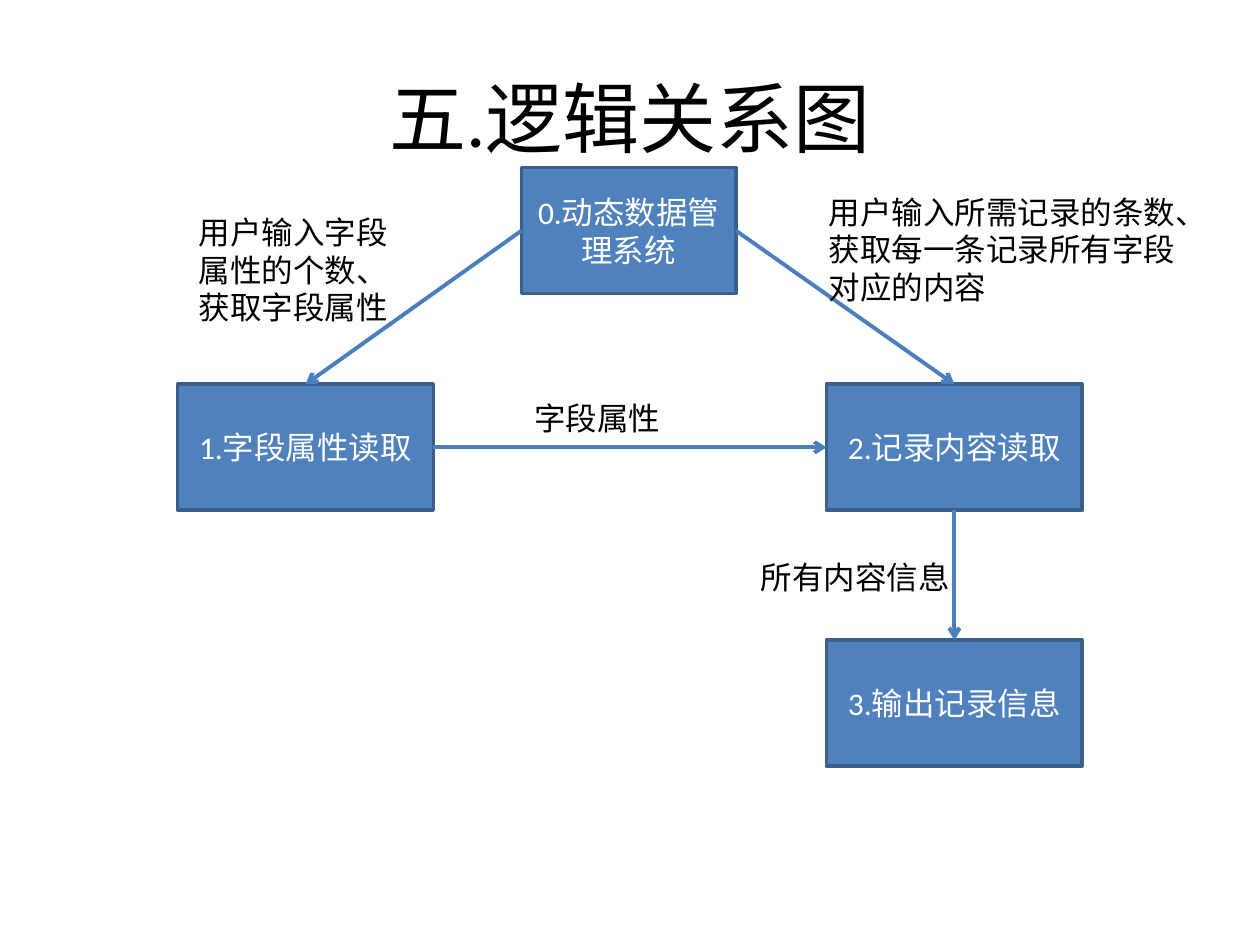
import pptx
import pptx.util
import pptx.dml.color
import pptx.enum.shapes
import pptx.enum.text
import pptx.oxml
import pptx.oxml.ns
from dataclasses import dataclass


@dataclass
class Theme:
    font: str = "Calibri"
    fill: str = "4F81BD"
    border: str = "3A5F8C"
    arrow: str = "4B7EBC"
    dark: str = "000000"
    light: str = "FFFFFF"
    title_size: int = 44
    body_size: int = 18


theme = Theme()
inches = pptx.util.Inches
rgb = pptx.dml.color.RGBColor.from_string
align = pptx.enum.text.PP_ALIGN
anchor = pptx.enum.text.MSO_ANCHOR


def write(box, text, size, color, alignment, vertical):
    frame = box.text_frame
    frame.text = text
    frame.word_wrap = True
    frame.vertical_anchor = vertical
    para = frame.paragraphs[0]
    para.alignment = alignment
    span = para.runs[0]
    span.font.name = theme.font
    span.font.size = pptx.util.Pt(size)
    span.font.color.rgb = rgb(color)


deck = pptx.Presentation()
deck.slide_width, deck.slide_height = inches(10), inches(7.5)
page = deck.slides.add_slide(deck.slide_layouts[5])

title = page.shapes.title
title.left, title.top, title.width, title.height = map(inches, (0.5, 0.3, 9, 1.25))
write(title, "五.逻辑关系图", theme.title_size, theme.dark, align.CENTER, anchor.MIDDLE)

left_column, middle_column, right_column = 1.41, 4.14, 6.56
top_row, middle_row, bottom_row = 1.33, 3.05, 5.08
step_width, system_width, box_height = 2.03, 1.7, 1

steps = {}
for name, text, left, top, width in [
    ("fields", "1.字段属性读取", left_column, middle_row, step_width),
    ("records", "2.记录内容读取", right_column, middle_row, step_width),
    ("system", "0.动态数据管理系统", middle_column, top_row, system_width),
    ("output", "3.输出记录信息", right_column, bottom_row, step_width),
]:
    box = page.shapes.add_shape(
        pptx.enum.shapes.MSO_SHAPE.RECTANGLE,
        inches(left), inches(top), inches(width), inches(box_height))
    box.shadow.inherit = False
    box.fill.solid()
    box.fill.fore_color.rgb = rgb(theme.fill)
    box.line.color.rgb = rgb(theme.border)
    box.line.width = pptx.util.Pt(2)
    write(box, text, theme.body_size, theme.light, align.CENTER, anchor.MIDDLE)
    steps[name] = box

top_side, left_side, bottom_side, right_side = range(4)
for start, start_side, end, end_side in [
    ("system", left_side, "fields", top_side),
    ("records", bottom_side, "output", top_side),
    ("fields", right_side, "records", left_side),
    ("system", right_side, "records", top_side),
]:
    arrow = page.shapes.add_connector(pptx.enum.shapes.MSO_CONNECTOR.STRAIGHT, 0, 0, 0, 0)
    arrow.begin_connect(steps[start], start_side)
    arrow.end_connect(steps[end], end_side)
    arrow.line.color.rgb = rgb(theme.arrow)
    arrow.line.width = pptx.util.Pt(2.25)
    head = pptx.oxml.parse_xml(
        '<a:tailEnd %s type="arrow"/>' % pptx.oxml.ns.nsdecls("a"))
    arrow.line._get_or_add_ln().append(head)
    arrow._element.spPr.append(
        pptx.oxml.parse_xml("<a:effectLst %s/>" % pptx.oxml.ns.nsdecls("a")))

for text, left, top, width, height in [
    ("用户输入字段属性的个数、获取字段属性", 1.48, 1.64, 1.8, 1.01),
    ("用户输入所需记录的条数、获取每一条记录所有字段对应的内容", 6.48, 1.48, 2.97, 1.01),
    ("字段属性", middle_column, 3.12, 1.88, 0.4),
    ("所有内容信息", 5.94, 4.38, 1.8, 0.4),
]:
    label = page.shapes.add_textbox(*map(inches, (left, top, width, height)))
    write(label, text, theme.body_size, theme.dark, align.LEFT, anchor.TOP)
    label.text_frame.auto_size = pptx.enum.text.MSO_AUTO_SIZE.SHAPE_TO_FIT_TEXT

deck.save("out.pptx")
